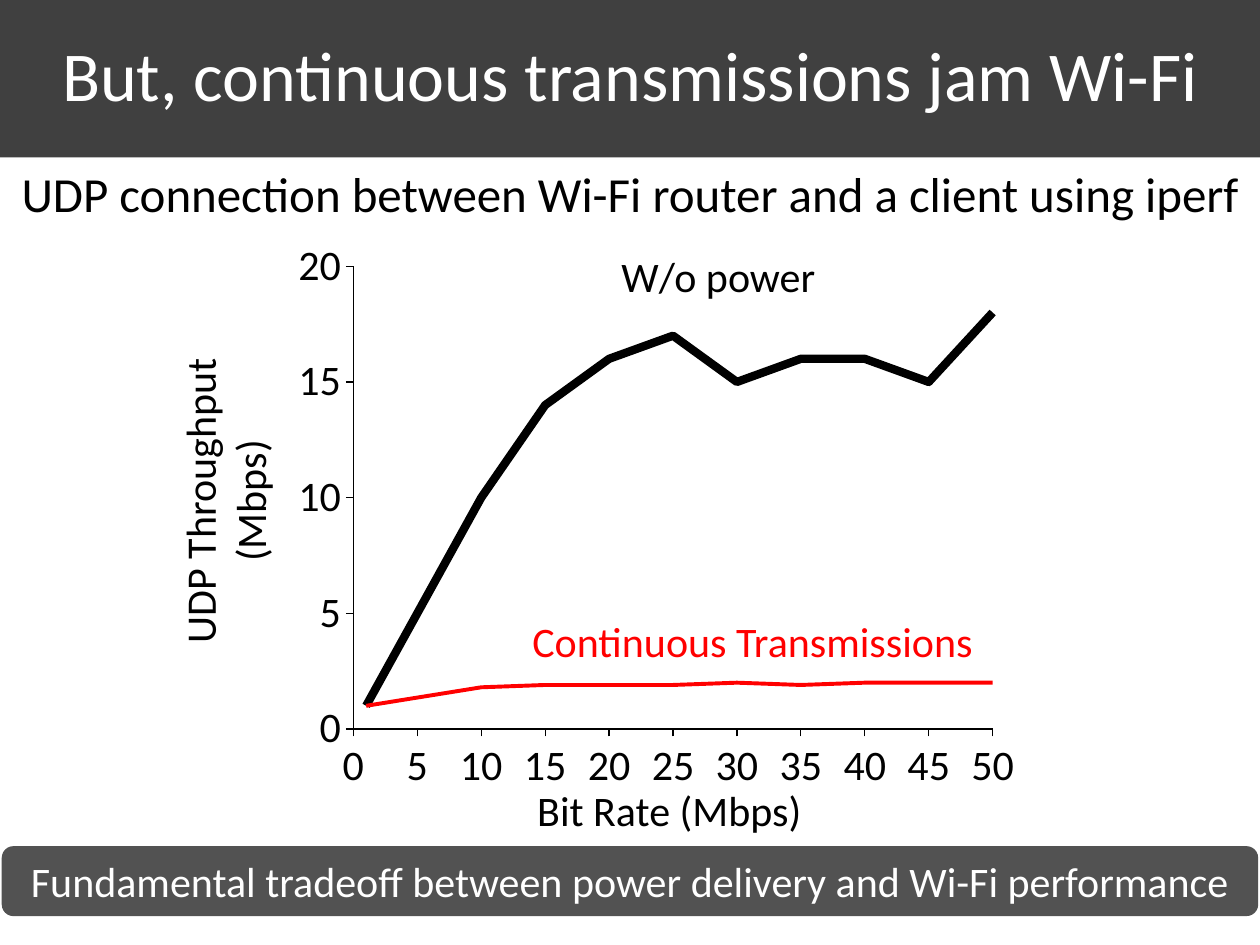
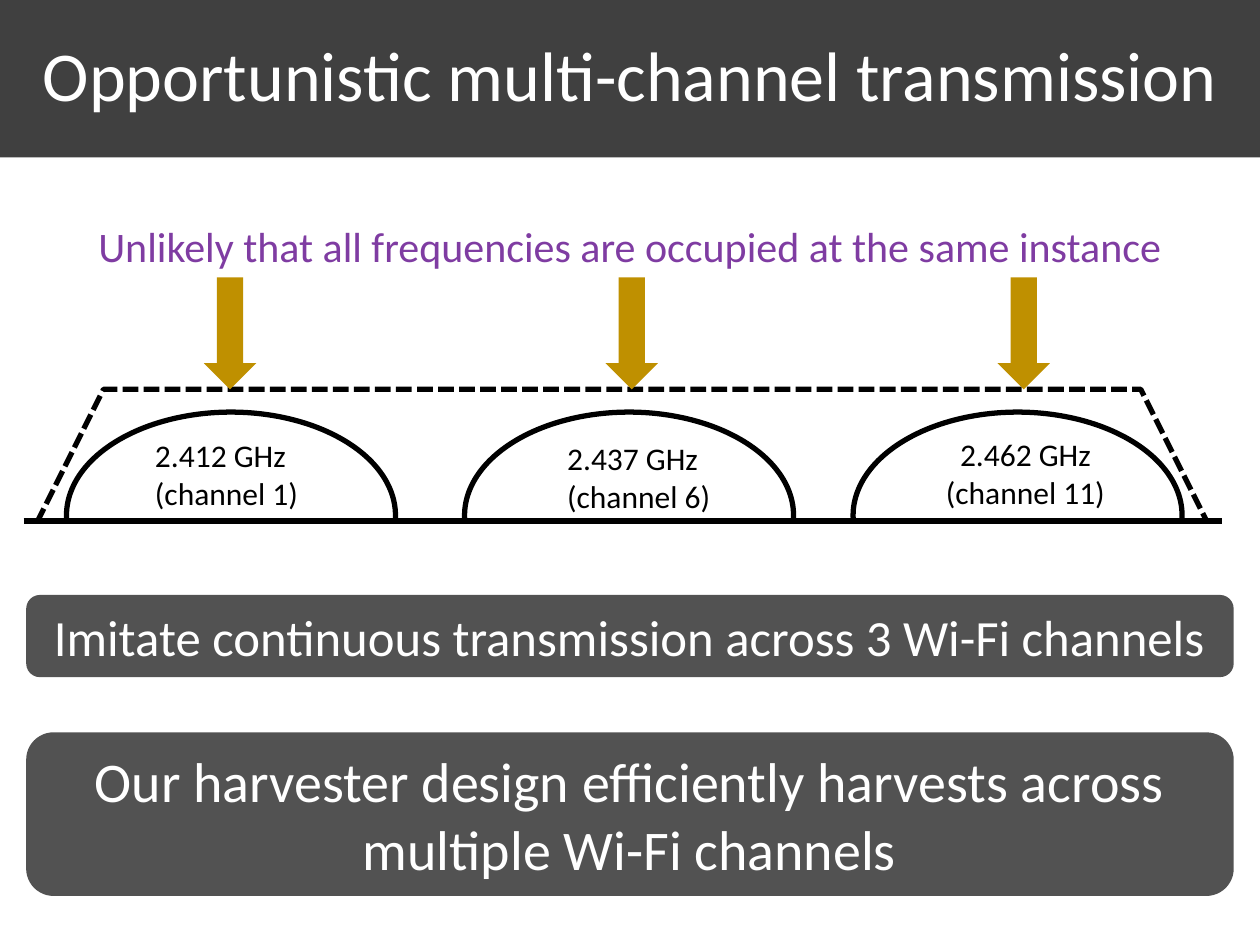
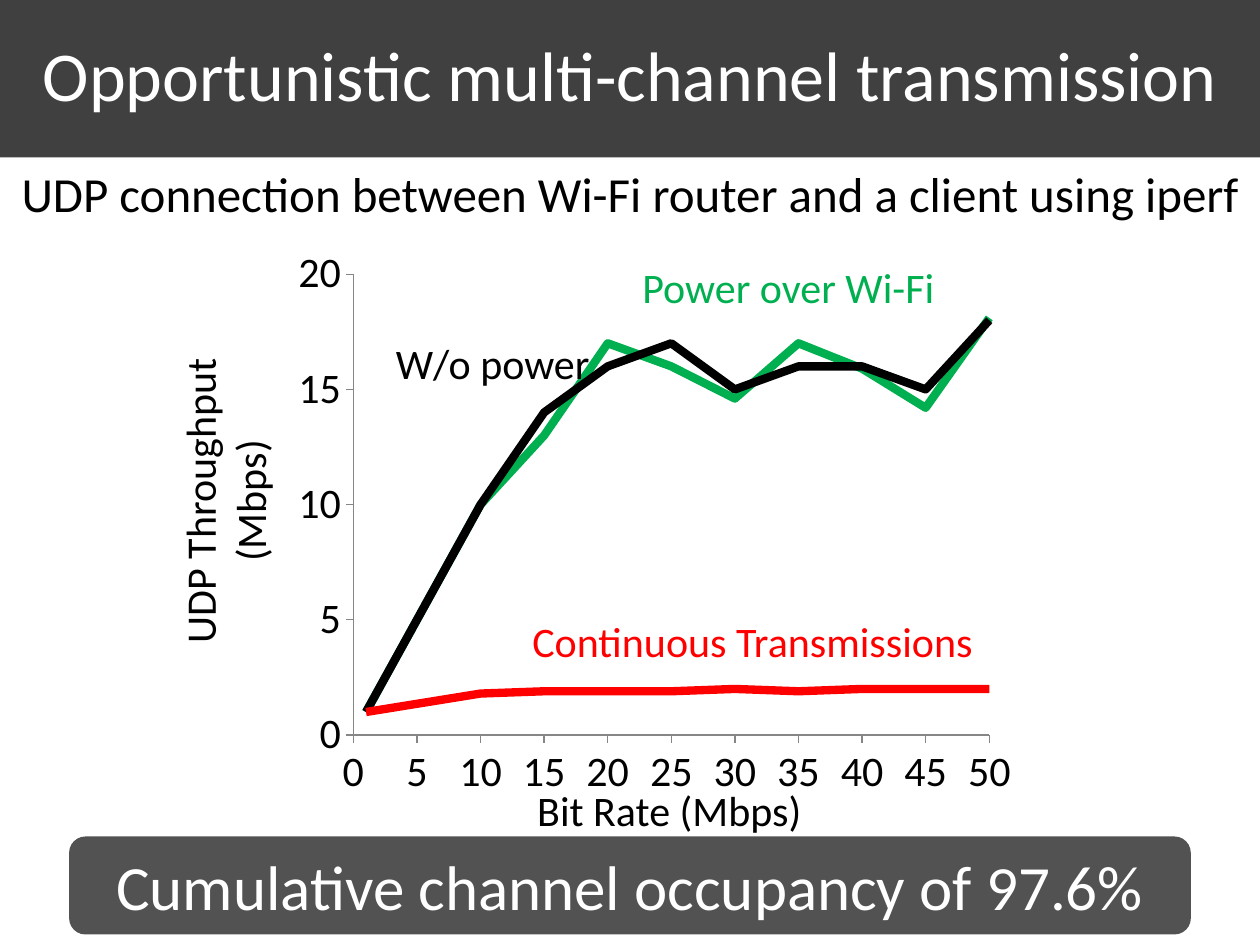
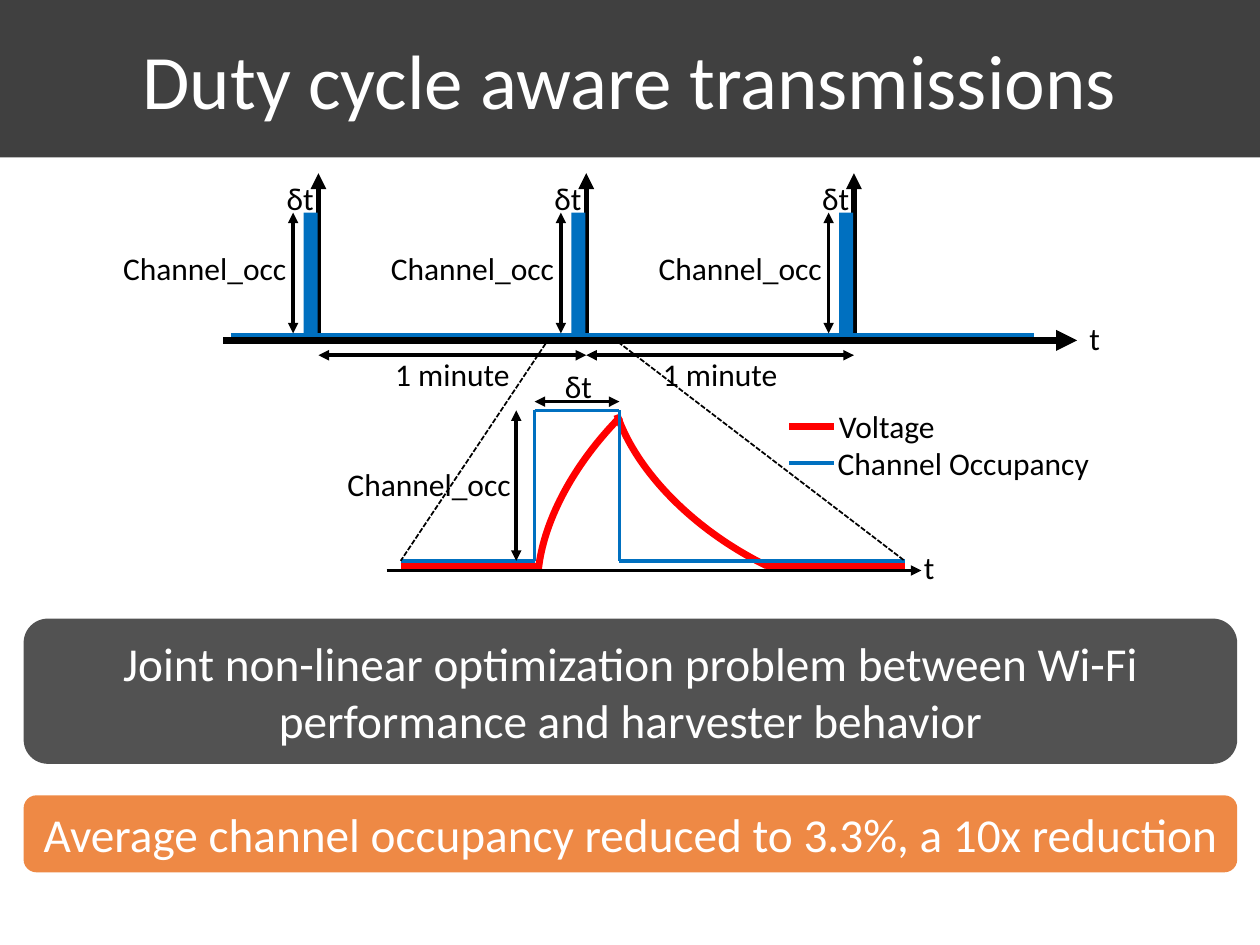
from dataclasses import dataclass
from typing import NamedTuple, Optional

from pptx import Presentation
from pptx.chart.data import XyChartData
from pptx.dml.color import RGBColor
from pptx.enum.chart import XL_CHART_TYPE as ChartType, XL_TICK_MARK as Tick
from pptx.enum.dml import MSO_LINE as Dash
from pptx.enum.shapes import MSO_CONNECTOR as Cxn, MSO_SHAPE as Shape
from pptx.enum.text import MSO_ANCHOR as Anchor, MSO_AUTO_SIZE as AutoSize, PP_ALIGN as Align
from pptx.oxml.ns import qn
from pptx.slide import Slide
from pptx.util import Pt
from lxml.etree import SubElement


@dataclass(frozen=True)
class Theme:
    font: str = "Calibri"
    band: str = "404040"
    white: str = "FFFFFF"
    black: str = "000000"
    red: str = "FF0000"
    green: str = "00B050"
    blue: str = "0070C0"
    gold: str = "BF9000"
    purple: str = "7F3CA2"
    orange: str = "ED7D31"
    axis_grey: str = "868686"
    title: float = 40
    title_large: float = 44
    subtitle: float = 28
    label: float = 24
    small: float = 18
    chart: float = 10


T = Theme()


class Box(NamedTuple):
    x: float
    y: float
    w: float
    h: float


class Label(NamedTuple):
    text: str
    box: Box
    size: float = T.label
    color: str = T.black
    align: Align = Align.CENTER
    rotation: float = 0


class Callout(NamedTuple):
    text: str
    box: Box
    size: float
    color: str = T.band


class Stroke(NamedTuple):
    x1: float
    y1: float
    x2: float
    y2: float
    width: float = 2
    color: str = T.black
    arrows: str = ""
    dash: Optional[Dash] = None


class Curve(NamedTuple):
    name: str
    values: list[float]
    color: str
    width: float = 4.75


class Arc(NamedTuple):
    box: Box
    rotation: float
    start: float
    end: float
    flipped: bool = False


BIT_RATES = [1, 10, 15, 20, 25, 30, 35, 40, 45, 50]
CONTINUOUS = [1, 1.8, 1.9, 1.9, 1.9, 2, 1.9, 2, 2, 2]
WITHOUT_POWER = [1, 10, 14, 16, 17, 15, 16, 16, 15, 18]
POWER_OVER_WIFI = [1, 10, 13, 17, 16, 14.6, 17, 15.9, 14.2, 18.1]


def rgb(color: str) -> RGBColor:
    return RGBColor.from_string(color)


def pts(box: Box) -> list[Pt]:
    return [Pt(v) for v in box]


def write(tf, text: str, size: float, color: str, align: Align = Align.CENTER) -> None:
    tf.word_wrap = True
    tf.auto_size = AutoSize.NONE
    for i, line in enumerate(text.split("\n")):
        p = tf.paragraphs[0] if i == 0 else tf.add_paragraph()
        p.text = line
        p.alignment = align
        p.font.name = T.font
        p.font.size = Pt(size)
        p.font.color.rgb = rgb(color)


def add_slide(prs, title: str, size: float = T.title, spacing: float = 0.9) -> Slide:
    s = prs.slides.add_slide(prs.slide_layouts[5])
    sp = s.shapes.title
    sp.left, sp.top, sp.width, sp.height = pts(Box(0, 0, 720, 90))
    sp.fill.solid()
    sp.fill.fore_color.rgb = rgb(T.band)
    write(sp.text_frame, title, size, T.white)
    sp.text_frame.vertical_anchor = Anchor.MIDDLE
    sp.text_frame.paragraphs[0].line_spacing = spacing
    return s


def add_label(s: Slide, label: Label) -> None:
    sp = s.shapes.add_textbox(*pts(label.box))
    sp.rotation = label.rotation
    write(sp.text_frame, label.text, label.size, label.color, label.align)


def add_shape(s: Slide, kind: Shape, box: Box, fill: Optional[str] = None,
              line: Optional[str] = None, width: float = 3):
    sp = s.shapes.add_shape(kind, *pts(box))
    sp.shadow.inherit = False
    if fill:
        sp.fill.solid()
        sp.fill.fore_color.rgb = rgb(fill)
    else:
        sp.fill.background()
    if line:
        sp.line.color.rgb = rgb(line)
        sp.line.width = Pt(width)
    else:
        sp.line.fill.background()
    return sp


def add_callout(s: Slide, callout: Callout) -> None:
    sp = add_shape(s, Shape.ROUNDED_RECTANGLE, callout.box, callout.color)
    color = sp.element.spPr.find(qn("a:solidFill"))[0]
    SubElement(color, qn("a:alpha"), val="90000")
    write(sp.text_frame, callout.text, callout.size, T.white)
    sp.text_frame.vertical_anchor = Anchor.MIDDLE


def add_stroke(s: Slide, stroke: Stroke) -> None:
    ends = (stroke.x1, stroke.y1, stroke.x2, stroke.y2)
    cxn = s.shapes.add_connector(Cxn.STRAIGHT, *[Pt(v) for v in ends])
    cxn.line.color.rgb = rgb(stroke.color)
    cxn.line.width = Pt(stroke.width)
    if stroke.dash:
        cxn.line.dash_style = stroke.dash
    spPr = cxn.element.spPr
    for end in stroke.arrows.split():
        SubElement(spPr.find(qn("a:ln")), qn(f"a:{end}End"), type="triangle")
    SubElement(spPr, qn("a:effectLst"))


def add_arc(s: Slide, arc: Arc) -> None:
    sp = add_shape(s, Shape.ARC, arc.box, line=T.red, width=4)
    sp.adjustments[0] = arc.start
    sp.adjustments[1] = arc.end
    sp.rotation = arc.rotation
    if arc.flipped:
        sp.element.spPr.find(qn("a:xfrm")).set("flipH", "1")


def add_throughput_chart(s: Slide, box: Box, curves: list[Curve], axis_color: str) -> None:
    data = XyChartData()
    for curve in curves:
        series = data.add_series(curve.name)
        for x, y in zip(BIT_RATES, curve.values):
            series.add_data_point(x, y)
    chart = s.shapes.add_chart(ChartType.XY_SCATTER_LINES_NO_MARKERS, *pts(box), data).chart
    chart.has_legend = False
    chart.has_title = False
    chart.font.name = T.font
    chart.font.size = Pt(T.chart)
    chart.font.color.rgb = rgb(T.black)
    plot = chart.plots[0]
    plot.vary_by_categories = False
    for series, curve in zip(plot.series, curves):
        series.smooth = False
        series.format.line.color.rgb = rgb(curve.color)
        series.format.line.width = Pt(curve.width)
    for axis, top in ((chart.category_axis, 50), (chart.value_axis, 20)):
        axis.minimum_scale, axis.maximum_scale = 0, top
        axis.major_unit = 5
        axis.has_major_gridlines = False
        axis.major_tick_mark = Tick.OUTSIDE
        axis.minor_tick_mark = Tick.NONE
        axis.tick_labels.font.size = Pt(T.label)
        axis.tick_labels.font.name = T.font
        axis.format.line.color.rgb = rgb(axis_color)
        axis.format.line.width = Pt(0.75)


def add_throughput_labels(s: Slide) -> None:
    for label in (
        Label("UDP connection between Wi-Fi router and a client using iperf",
              Box(0, 90, 720, 41), T.subtitle),
        Label("Continuous Transmissions", Box(274.5, 348, 311, 36), color=T.red),
        Label("UDP Throughput\n(Mbps)", Box(-45.5, 253.5, 348, 65.5), rotation=270),
        Label("Bit Rate (Mbps)", Box(271.5, 445, 222, 36)),
    ):
        add_label(s, label)


def build_jam_slide(prs) -> None:
    s = add_slide(prs, "But, continuous transmissions jam Wi-Fi")
    add_throughput_chart(s, Box(162, 131, 426, 328.5), [
        Curve("Continuous Transmissions", CONTINUOUS, T.red, 2.25),
        Curve("W/o power", WITHOUT_POWER, T.black),
    ], T.black)
    add_throughput_labels(s)
    add_label(s, Label("W/o power", Box(299.5, 139.5, 222, 36)))
    add_callout(s, Callout("Fundamental tradeoff between power delivery and Wi-Fi performance",
                           Box(1, 483.5, 718, 40), T.label))


def build_channels_slide(prs) -> None:
    s = add_slide(prs, "Opportunistic multi-channel transmission")
    add_stroke(s, Stroke(13.5, 298, 698.5, 298, 4.5))
    for x in (38, 265.5, 487.5):
        add_shape(s, Shape.FLOWCHART_CONNECTOR, Box(x, 235.5, 188, 118), line=T.black)
    bandwidth = add_shape(s, Shape.HEXAGON, Box(21, 222.5, 669, 152.5), line=T.black)
    bandwidth.line.dash_style = Dash.SQUARE_DOT
    add_shape(s, Shape.RECTANGLE, Box(13.5, 299.5, 690, 109), T.white)
    for x in (116.5, 346, 570):
        add_shape(s, Shape.DOWN_ARROW, Box(x, 158.5, 30, 64), T.gold)
    for label in (
        Label("2.412 GHz\n(channel 1)", Box(81.5, 245.5, 102, 51), T.small, align=Align.LEFT),
        Label("2.437 GHz\n(channel 6)", Box(317, 247.5, 102, 51), T.small, align=Align.LEFT),
        Label("2.462 GHz\n(channel 11)", Box(532, 245, 108, 51), T.small),
        Label("Unlikely that all frequencies are occupied at the same instance",
              Box(0, 122.5, 720, 36), color=T.purple),
    ):
        add_label(s, label)
    add_callout(s, Callout("Imitate continuous transmission across 3 Wi-Fi channels",
                           Box(15, 340, 690, 47), 29))
    add_callout(s, Callout("Our harvester design efficiently harvests across\n"
                           "multiple Wi-Fi channels", Box(15, 418.5, 690, 93.5), 32))


def build_occupancy_slide(prs) -> None:
    s = add_slide(prs, "Opportunistic multi-channel transmission")
    add_throughput_chart(s, Box(162, 135.5, 424, 327.5), [
        Curve("Continuous Transmissions", CONTINUOUS, T.red),
        Curve("W/o power", WITHOUT_POWER, T.black),
        Curve("Power over Wi-Fi", POWER_OVER_WIFI, T.green),
    ], T.axis_grey)
    add_throughput_labels(s)
    add_label(s, Label("Power over Wi-Fi", Box(360, 146, 198, 36), color=T.green,
                       align=Align.LEFT))
    add_label(s, Label("W/o power", Box(215.5, 189.5, 132, 36)))
    add_callout(s, Callout("Cumulative channel occupancy of 97.6%",
                           Box(39.5, 478, 641, 56), 36))


def add_pulse_train(s: Slide) -> None:
    first, pitch, count = 182, 153, 3
    add_stroke(s, Stroke(127.5, 194.5, 615.5, 194.5, 4, arrows="tail"))
    for i in range(count):
        x = first + i * pitch
        add_stroke(s, Stroke(x, 195, x, 99, 3, arrows="tail"))
        add_shape(s, Shape.RECTANGLE, Box(x - 8.5, 121.5, 8, 71), T.blue)
        add_stroke(s, Stroke(x - 50, 191.5, x + 103, 191.5, color=T.blue))
        add_stroke(s, Stroke(x - 14.5, 190.5, x - 14.5, 121.5, arrows="head tail"))
        add_label(s, Label("δt", Box(x - 30.5, 98.5, 40, 29), T.small))
        add_label(s, Label("Channel_occ", Box(x - 123, 138.5, 116, 29), T.small))
        if i < count - 1:
            add_stroke(s, Stroke(x, 203, x + pitch, 203, arrows="head tail"))
            add_label(s, Label("1 minute", Box(x, 199.5, pitch, 29), T.small))
    add_label(s, Label("t", Box(605.5, 178.5, 40, 29), T.small))


def add_pulse_detail(s: Slide) -> None:
    left, rise, fall, right = 229, 305.5, 354, 517
    base, top = 320.5, 234.5
    add_arc(s, Arc(Box(336.5, 163.5, 146, 246), 226.4, 175.57, 213.02))
    add_arc(s, Arc(Box(387.5, 129.5, 146, 246), 300.8, 175.57, 8.03, flipped=True))
    for stroke in (
        Stroke(left, 323.5, 308, 323.5, 4, T.red),
        Stroke(438, 323.5, right, 323.5, 4, T.red),
        Stroke(left, base, rise, base, color=T.blue),
        Stroke(rise, base, rise, top, color=T.blue),
        Stroke(rise, top, fall, top, color=T.blue),
        Stroke(fall, top, fall, base, color=T.blue),
        Stroke(fall, base, right, base, color=T.blue),
        Stroke(314, 193, left, base, 1, dash=Dash.SQUARE_DOT),
        Stroke(350, 193, right, base, 1, dash=Dash.SQUARE_DOT),
        Stroke(221, 326, 526.5, 326, arrows="tail"),
        Stroke(295, base, 295, top, arrows="head tail"),
        Stroke(rise, 229.5, fall, 229.5, arrows="head tail"),
        Stroke(451, 243.5, 476.5, 243.5, 4, T.red),
        Stroke(451, 264.5, 476.5, 264.5, color=T.blue),
    ):
        add_stroke(s, stroke)
    for text, box in (
        ("δt", Box(310.5, 206, 40, 29)),
        ("t", Box(511, 309.5, 40, 29)),
        ("Channel_occ", Box(186.5, 262, 117.5, 44)),
        ("Voltage", Box(461, 229, 91.5, 29)),
        ("Channel Occupancy", Box(471, 250, 159, 29)),
    ):
        add_label(s, Label(text, box, T.small))


def build_duty_cycle_slide(prs) -> None:
    s = add_slide(prs, "Duty cycle aware transmissions", T.title_large, 1.0)
    add_pulse_train(s)
    add_pulse_detail(s)
    add_callout(s, Callout("Joint non-linear optimization problem between Wi-Fi "
                           "performance and harvester behavior",
                           Box(13.5, 353.5, 693.5, 83), 27))
    add_callout(s, Callout("Average channel occupancy reduced to 3.3%, a 10x reduction",
                           Box(13.5, 454.5, 693.5, 44), 27, T.orange))


def main() -> None:
    prs = Presentation()
    prs.slide_width, prs.slide_height = Pt(720), Pt(540)
    build_jam_slide(prs)
    build_channels_slide(prs)
    build_occupancy_slide(prs)
    build_duty_cycle_slide(prs)
    prs.save("out.pptx")


if __name__ == "__main__":
    main()
